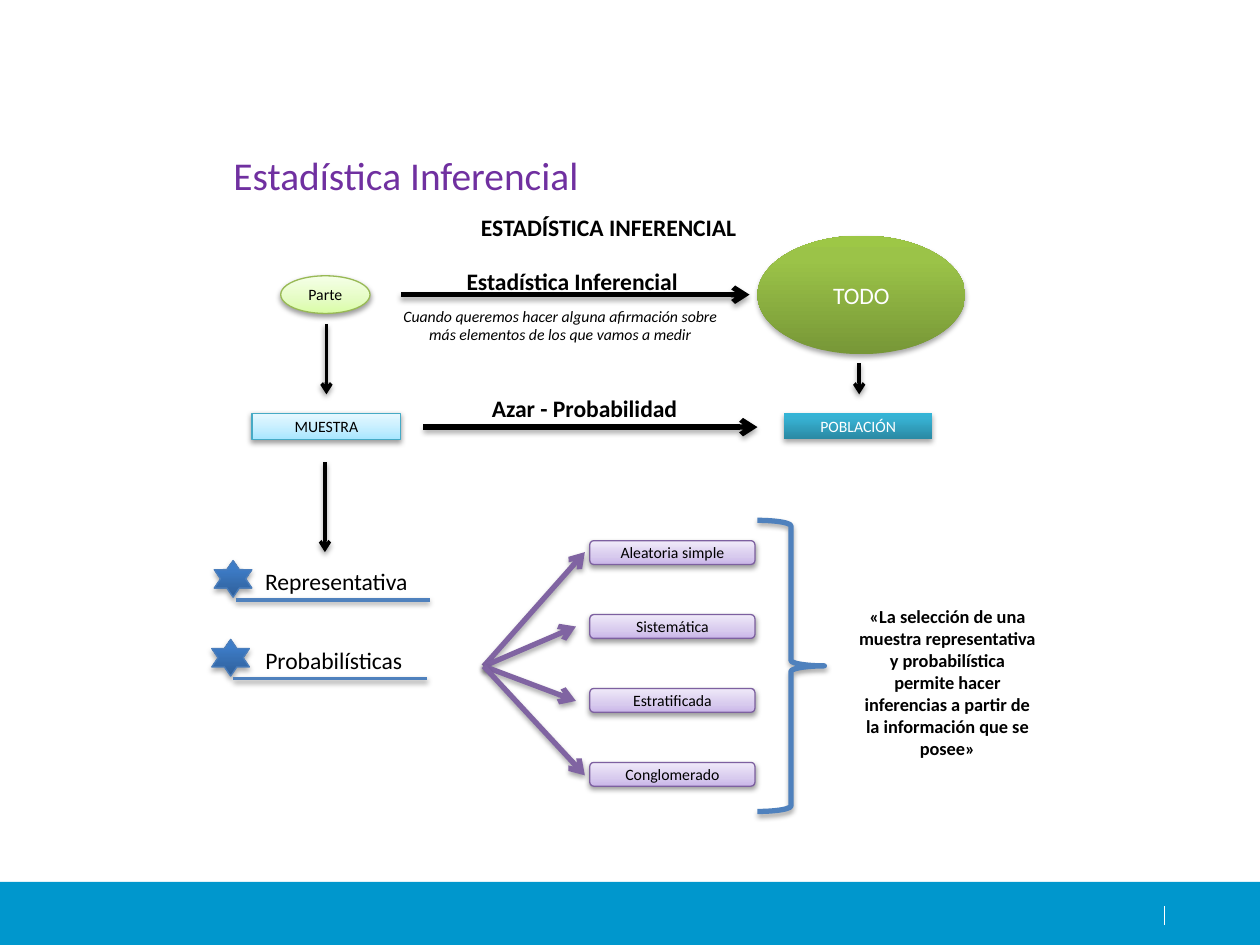
from dataclasses import dataclass
from typing import Optional

import pptx
import pptx.dml.color
import pptx.enum.shapes
import pptx.enum.text
import pptx.oxml
import pptx.oxml.ns
import pptx.util

Cm = pptx.util.Cm
SHAPE = pptx.enum.shapes.MSO_SHAPE
ALIGN = pptx.enum.text.PP_ALIGN
ANCHOR = pptx.enum.text.MSO_ANCHOR
AUTO_SIZE = pptx.enum.text.MSO_AUTO_SIZE
FONT = "Calibri"

COLORS = {
    "black": "000000", "white": "FFFFFF", "band": "0097CD", "title": "7030A0",
    "blue": "4F81BD", "purple": "8064A2", "green_line": "98B955",
    "aqua_line": "46AAC5", "star_line": "4B7EBC", "purple_line": "7D60A0",
}
# Gradient stops from bottom to top: position in percent, colour
GRADIENTS = {
    "light_green": ((0, "DAFDA7"), (35, "E4FCC2"), (100, "F5FFE7")),
    "green": ((0, "779737"), (80, "9BC348"), (100, "9DC746")),
    "light_aqua": ((0, "A7E6FF"), (35, "C1EDFF"), (100, "E7F8FF")),
    "aqua": ((0, "2A88A2"), (80, "37B1D2"), (100, "34B4D6")),
    "star": ((0, "2F5F99"), (80, "3D7CC7"), (100, "3A7CCB")),
    "light_purple": ((0, "C9B5E8"), (35, "D8CBEE"), (100, "F0EAF9")),
}


@dataclass
class Node:
    kind: SHAPE
    left: float
    top: float
    width: float
    height: float
    gradient: Optional[str] = None
    line: Optional[str] = None
    line_width: float = 0.75
    text: str = ""
    size: float = 9
    color: str = "black"
    strong_shadow: bool = False


@dataclass
class Label:
    text: str
    left: float
    top: float
    width: float
    height: float
    size: float = 13.5
    bold: bool = False
    italic: bool = False


@dataclass
class Line:
    x1: float
    y1: float
    x2: float
    y2: float
    color: str = "black"
    width: float = 2
    arrow: bool = True
    shadow: bool = True


def rgb(name: str) -> pptx.dml.color.RGBColor:
    return pptx.dml.color.RGBColor.from_string(COLORS[name])


def xml_element(markup: str):
    """Parse one element whose tag uses the a: prefix."""
    tag, rest = markup[:markup.index(" ")], markup[markup.index(" "):]
    return pptx.oxml.parse_xml(f"{tag} {pptx.oxml.ns.nsdecls('a')}{rest}")


def add_shadow(effects, strong: bool) -> None:
    distance, alpha = (1.8, 35) if strong else (1.6, 38)
    effects.append(xml_element(
        f'<a:outerShdw blurRad="{pptx.util.Pt(3.1)}" dist="{pptx.util.Pt(distance)}" '
        f'dir="5400000" rotWithShape="0"><a:srgbClr val="000000">'
        f'<a:alpha val="{alpha * 1000}"/></a:srgbClr></a:outerShdw>'))


def fill_gradient(shape, name: str) -> None:
    shape.fill.gradient()
    shape.fill.gradient_angle = 90
    stops = shape.element.spPr.find(".//" + pptx.oxml.ns.qn("a:gsLst"))
    for stop in list(stops):
        stops.remove(stop)
    for position, color in GRADIENTS[name]:
        stops.append(xml_element(
            f'<a:gs pos="{position * 1000}"><a:srgbClr val="{color}"/></a:gs>'))


def write_text(text_frame, text: str, size: float, color: str, align=ALIGN.CENTER,
               bold: bool = False, italic: bool = False) -> None:
    text_frame.text = text
    text_frame.word_wrap = True
    paragraph = text_frame.paragraphs[0]
    paragraph.alignment = align
    font = paragraph.runs[0].font
    font.name, font.size = FONT, pptx.util.Pt(size)
    font.bold, font.italic = bold, italic
    font.color.rgb = rgb(color)


def draw_node(slide, node: Node) -> None:
    shape = slide.shapes.add_shape(
        node.kind, Cm(node.left), Cm(node.top), Cm(node.width), Cm(node.height))
    if node.gradient:
        fill_gradient(shape, node.gradient)
    else:
        shape.fill.background()
    if node.line:
        shape.line.color.rgb = rgb(node.line)
        shape.line.width = pptx.util.Pt(node.line_width)
    else:
        shape.line.fill.background()
    shape.shadow.inherit = False
    add_shadow(shape.element.spPr.find(pptx.oxml.ns.qn("a:effectLst")), node.strong_shadow)
    if node.text:
        frame = shape.text_frame
        frame.margin_top = frame.margin_bottom = 0
        frame.vertical_anchor = ANCHOR.MIDDLE
        write_text(frame, node.text, node.size, node.color)


def draw_label(slide, label: Label) -> None:
    box = slide.shapes.add_textbox(
        Cm(label.left), Cm(label.top), Cm(label.width), Cm(label.height))
    write_text(box.text_frame, label.text, label.size, "black",
               bold=label.bold, italic=label.italic)
    box.text_frame.auto_size = AUTO_SIZE.SHAPE_TO_FIT_TEXT


def draw_line(slide, line: Line) -> None:
    connector = slide.shapes.add_connector(
        pptx.enum.shapes.MSO_CONNECTOR.STRAIGHT,
        Cm(line.x1), Cm(line.y1), Cm(line.x2), Cm(line.y2))
    connector.line.color.rgb = rgb(line.color)
    connector.line.width = pptx.util.Pt(line.width)
    properties = connector.element.spPr
    if line.arrow:
        outline = properties.find(pptx.oxml.ns.qn("a:ln"))
        outline.append(xml_element('<a:tailEnd type="arrow"/>'))
    effects = xml_element("<a:effectLst />")
    properties.append(effects)
    if line.shadow:
        add_shadow(effects, line.width == 3)


def draw_title(slide) -> None:
    title = slide.shapes.title
    title.left, title.top, title.width, title.height = Cm(4.45), Cm(2.92), Cm(16.21), Cm(1.09)
    write_text(title.text_frame, "Estadística Inferencial", 22.5, "title", ALIGN.LEFT)
    title.text_frame.vertical_anchor = ANCHOR.TOP
    title.text_frame.auto_size = AUTO_SIZE.NONE


def draw_footer(slide, width: int) -> None:
    band = slide.shapes.add_shape(SHAPE.RECTANGLE, 0, Cm(17.78), width, Cm(1.27))
    band.fill.solid()
    band.fill.fore_color.rgb = rgb("band")
    band.line.fill.background()
    band.shadow.inherit = False
    draw_line(slide, Line(23.48, 18.64, 23.48, 18.26, "white", 0.75, False, False))


NODES = [
    Node(SHAPE.OVAL, 5.66, 5.56, 1.8, 0.76, "light_green", "green_line", text="Parte"),
    Node(SHAPE.OVAL, 15.27, 4.75, 4.19, 2.39, "green", text="TODO", size=13.5,
         color="white", strong_shadow=True),
    Node(SHAPE.RECTANGLE, 5.08, 8.33, 3, 0.53, "light_aqua", "aqua_line", text="MUESTRA"),
    Node(SHAPE.RECTANGLE, 15.8, 8.33, 3, 0.53, "aqua", text="POBLACIÓN",
         color="white", strong_shadow=True),
    Node(SHAPE.RIGHT_BRACE, 15.27, 10.49, 1.35, 5.87, line="blue", line_width=3,
         strong_shadow=True),
]
LINES = [
    Line(8.08, 5.94, 15.11, 5.94, width=3),
    Line(8.53, 8.61, 15.27, 8.61, width=3),
    Line(6.58, 6.53, 6.58, 7.95),
    Line(17.32, 7.32, 17.32, 7.95),
    Line(6.55, 9.32, 6.55, 11.13),
]
LABELS = [
    Label("ESTADÍSTICA INFERENCIAL", 7.47, 4.17, 9.6, 0.84, bold=True),
    Label("Estadística Inferencial", 8.08, 5.26, 6.91, 0.84, bold=True),
    Label("Cuando queremos hacer alguna afirmación sobre más elementos de los que "
          "vamos a medir", 7.62, 6.05, 7.34, 1.02, 9, italic=True),
    Label("Azar - Probabilidad", 8.33, 7.82, 6.91, 0.84, bold=True),
    Label("«La selección de una muestra representativa y probabilística permite hacer "
          "inferencias a partir de la información que se posee»",
          17.07, 12.07, 4.06, 3.84, 10.5, bold=True),
]
for row, quality in enumerate(("Representativa", "Probabilísticas")):
    left, top = 4.32 - 0.05 * row, 11.3 + 1.59 * row
    NODES.append(Node(SHAPE.STAR_6_POINT, left, top, 0.76, 0.74, "star", "star_line",
                      strong_shadow=True))
    LABELS.append(Label(quality, left + 0.43, top, 4.06, 0.84))
    LINES.append(Line(left + 0.43, top + 0.79, left + 4.34, top + 0.79, "blue", arrow=False))

SAMPLING_TIPS = {"Aleatoria simple": 11.79, "Sistemática": 11.61,
                 "Estratificada": 11.61, "Conglomerado": 11.79}
for row, (method, tip) in enumerate(SAMPLING_TIPS.items()):
    NODES.append(Node(SHAPE.ROUNDED_RECTANGLE, 11.89, 10.9 + 1.49 * row, 3.33, 0.48,
                      "light_purple", "purple_line", text=method))
    LINES.append(Line(9.75, 13.43, tip, 11.13 + 1.5 * row, "purple", 3))


def main() -> None:
    presentation = pptx.Presentation()
    presentation.slide_width, presentation.slide_height = Cm(25.4), Cm(19.05)
    slide = presentation.slides.add_slide(presentation.slide_layouts[5])
    draw_footer(slide, presentation.slide_width)
    draw_title(slide)
    for items, draw in ((NODES, draw_node), (LINES, draw_line), (LABELS, draw_label)):
        for item in items:
            draw(slide, item)
    presentation.save("out.pptx")


if __name__ == "__main__":
    main()
